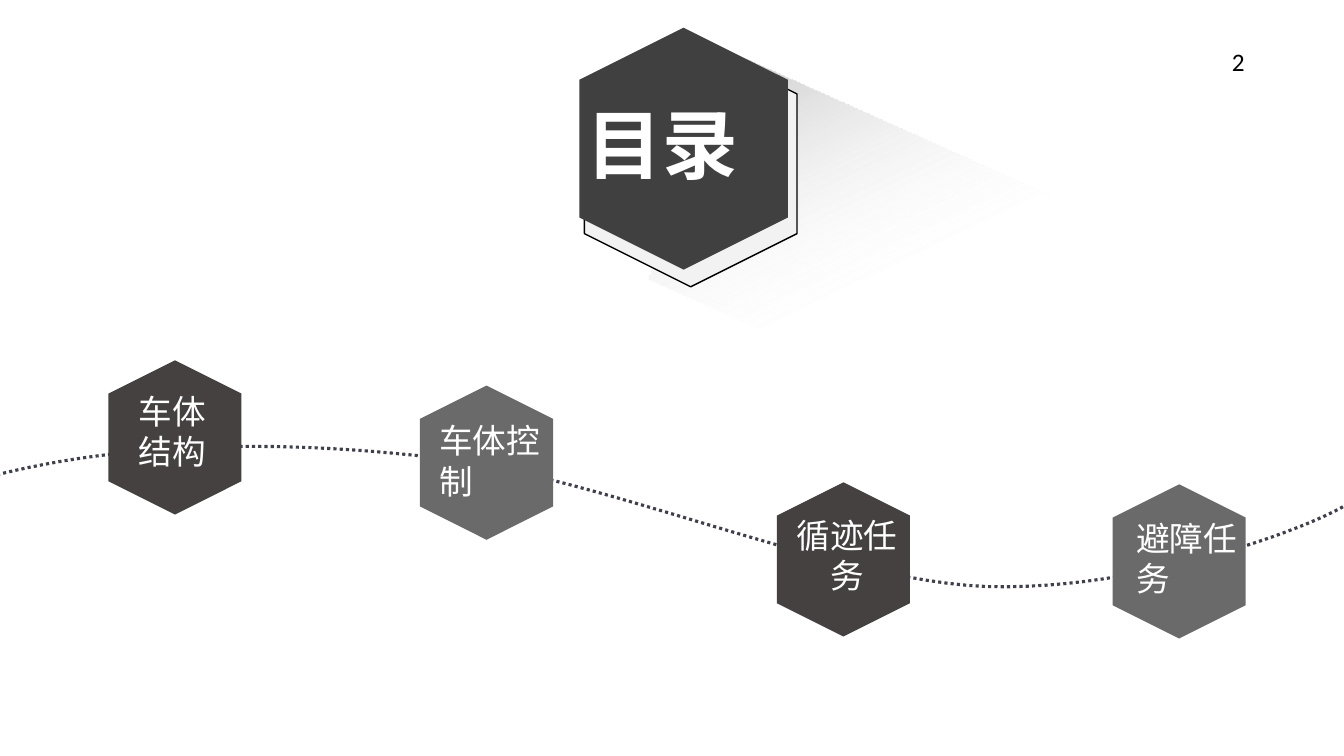
from dataclasses import dataclass

from lxml.etree import SubElement
from pptx import Presentation
from pptx.dml.color import RGBColor
from pptx.enum.dml import MSO_LINE
from pptx.enum.shapes import MSO_SHAPE
from pptx.enum.text import MSO_AUTO_SIZE, PP_ALIGN
from pptx.oxml.ns import qn
from pptx.util import Pt

EMU_PER_PX = 9144
CURVE_STEPS = 24


@dataclass(frozen=True)
class Theme:
    """Colours, fonts and type sizes of the slide."""
    white: str = "FFFFFF"
    black: str = "000000"
    title_fill: str = "404040"
    title_frame: str = "F2F2F2"
    dark: str = "454141"
    grey: str = "6A6A6A"
    road: str = "3F404B"
    shadow_stops: tuple = ((0, "838383", 54), (0, "BFBFBF", 100), (54, "FFFFFF", 0))
    chinese: str = "Noto Sans CJK SC"
    latin: str = "Calibri"
    title_size: int = 54
    topic_size: int = 24
    number_size: int = 18


def px(*lengths):
    """Turn pixel lengths into EMU."""
    return [round(length * EMU_PER_PX) for length in lengths]


def write_text(frame, text, *, font, size, color, bold=False, align=None):
    """Write one formatted paragraph into a text frame."""
    paragraph = frame.paragraphs[0]
    paragraph.alignment = align
    run = paragraph.add_run()
    run.text = text
    run.font.name = font
    run.font.size = Pt(size)
    run.font.bold = bold
    run.font.color.rgb = RGBColor.from_string(color)
    SubElement(run.font._element, qn("a:ea"), typeface=font)


def bezier_points(start, segments):
    """List points along joined cubic Bezier segments."""
    points = [start]
    for first, second, end in segments:
        for step in range(1, CURVE_STEPS + 1):
            t = step / CURVE_STEPS
            weights = ((1 - t) ** 3, 3 * t * (1 - t) ** 2, 3 * t * t * (1 - t), t ** 3)
            corners = (start, first, second, end)
            points.append(tuple(sum(w * corner[axis] for w, corner in zip(weights, corners))
                                for axis in (0, 1)))
        start = end
    return points


class SlideBuilder:
    """Draws themed elements on one slide."""

    def __init__(self, slide, theme):
        self.shapes = slide.shapes
        self.theme = theme

    def long_shadow(self, left, top, width, height, rotation, angle):
        """Add a rotated rectangle that fades out."""
        shape = self.shapes.add_shape(MSO_SHAPE.RECTANGLE, *px(left, top, width, height))
        shape.shadow.inherit = False
        shape.rotation = rotation
        shape.line.fill.background()
        shape.fill.gradient()
        shape.fill.gradient_angle = 360 - angle
        stops = shape._element.spPr.find(".//" + qn("a:gsLst"))
        for stop in list(stops):
            stops.remove(stop)
        for position, color, opacity in self.theme.shadow_stops:
            stop = SubElement(stops, qn("a:gs"), pos=str(position * 1000))
            value = SubElement(stop, qn("a:srgbClr"), val=color)
            if opacity < 100:
                SubElement(value, qn("a:alpha"), val=str(opacity * 1000))

    def hexagon(self, left, top, width, height, fill, line=None):
        """Add a hexagon turned to stand on its point."""
        shape = self.shapes.add_shape(MSO_SHAPE.HEXAGON, *px(left, top, width, height))
        shape.shadow.inherit = False
        shape.rotation = 90
        shape.fill.solid()
        shape.fill.fore_color.rgb = RGBColor.from_string(fill)
        if line:
            shape.line.color.rgb = RGBColor.from_string(line)
            shape.line.width = Pt(1)
        else:
            shape.line.fill.background()

    def road(self, start, segments):
        """Add the dotted curve that links the topics."""
        points = bezier_points(start, segments)
        builder = self.shapes.build_freeform(*px(*points[0]))
        builder.add_line_segments([px(*point) for point in points[1:]], close=False)
        shape = builder.convert_to_shape()
        shape.shadow.inherit = False
        shape.fill.background()
        shape.line.color.rgb = RGBColor.from_string(self.theme.road)
        shape.line.width = Pt(2.25)
        shape.line.dash_style = MSO_LINE.ROUND_DOT

    def label(self, left, top, width, height, text, **text_format):
        """Add a wrapping text box."""
        frame = self.shapes.add_textbox(*px(left, top, width, height)).text_frame
        frame.word_wrap = True
        frame.auto_size = MSO_AUTO_SIZE.SHAPE_TO_FIT_TEXT
        write_text(frame, text, **text_format)

    def topic(self, corner, fill, label_corner, label_width, text, align=None):
        """Add a topic hexagon with its label."""
        self.hexagon(*corner, 153, 132, fill)
        self.label(*label_corner, label_width, 91, text, font=self.theme.chinese,
                   size=self.theme.topic_size, color=self.theme.white, align=align)


def main():
    """Build the contents slide and save it."""
    theme = Theme()
    presentation = Presentation()
    presentation.slide_width, presentation.slide_height = px(1333, 750)
    slide = presentation.slides.add_slide(presentation.slide_layouts[6])
    builder = SlideBuilder(slide, theme)

    builder.long_shadow(672, 141, 451, 239, rotation=24.2, angle=40)
    builder.road((-3, 471), [
        ((121, 440), (268, 435), (432, 454)),
        ((595, 472), (828, 577), (980, 582)),
        ((1133, 586), (1298, 524), (1335, 501)),
    ])
    builder.hexagon(563, 57, 244, 211, theme.title_frame, line=theme.black)
    builder.hexagon(558, 44, 240, 207, theme.title_fill)
    builder.label(572, 92, 210, 101, "目录", font=theme.chinese, size=theme.title_size,
                  color=theme.white, bold=True, align=PP_ALIGN.JUSTIFY)

    builder.topic((97, 368), theme.dark, (128, 383), 91, "车体结构")
    builder.topic((406, 393), theme.grey, (426, 412), 123, "车体控制")
    builder.topic((760, 489), theme.dark, (774, 506), 132, "循迹任务", PP_ALIGN.CENTER)
    builder.topic((1093, 491), theme.grey, (1117, 509), 132, "避障任务")

    builder.label(1212, 41, 36, 41, "2", font=theme.latin, size=theme.number_size,
                  color=theme.black)
    presentation.save("out.pptx")


if __name__ == "__main__":
    main()
